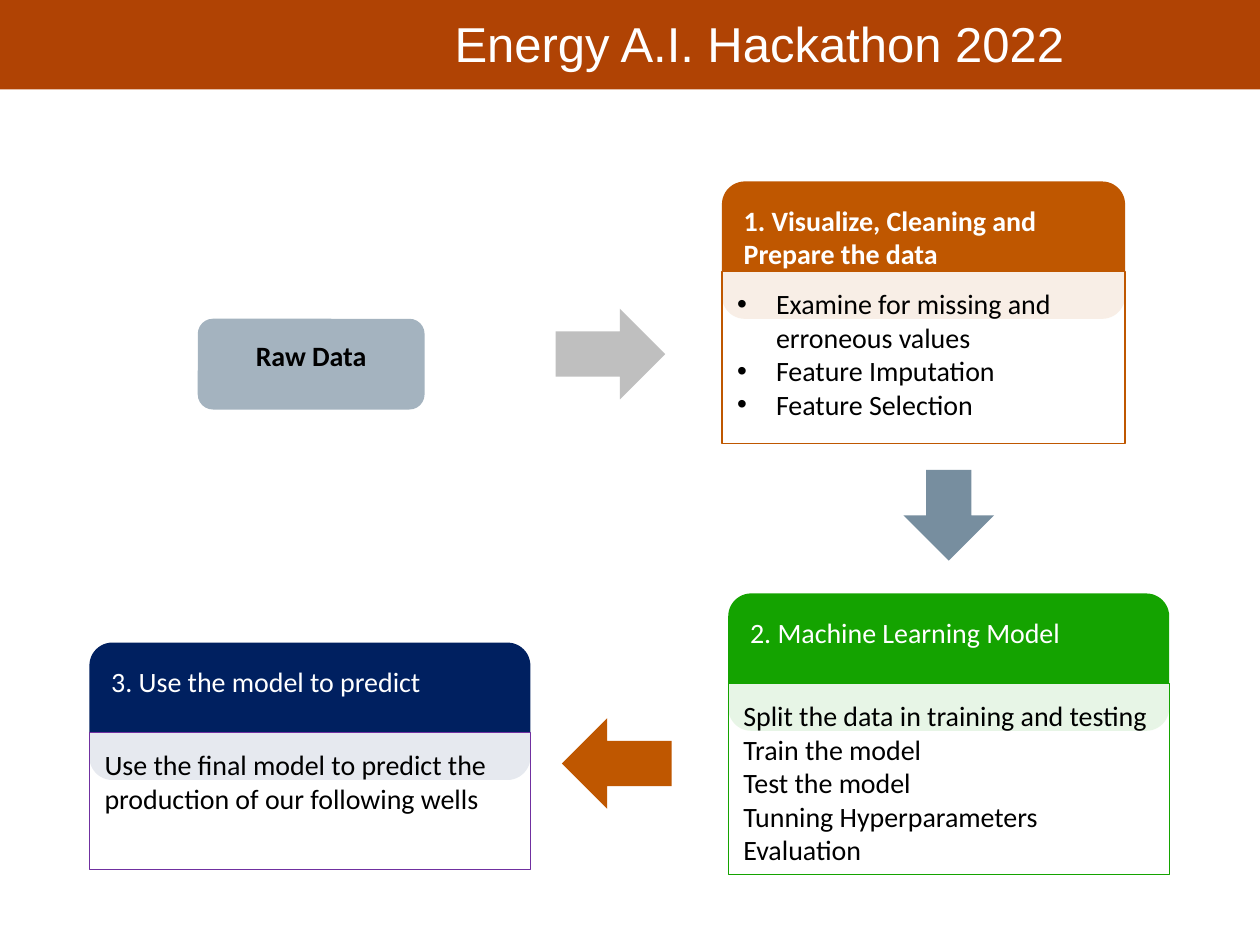
from lxml import etree
from pptx import Presentation
from pptx.dml.color import RGBColor
from pptx.enum.shapes import MSO_SHAPE as Shape
from pptx.enum.text import MSO_ANCHOR as Anchor, PP_ALIGN as Align
from pptx.oxml.ns import qn
from pptx.util import Inches, Pt

COLUMNS, ROWS = 100, 75  # grid cells across and down the slide
WIDTH, HEIGHT = Inches(10), Inches(7.5)
HEADER_ROWS = 10.9       # height of a card's rounded header
BODY_OFFSET = 7.15       # rows from a card's top to its body
PADDING = 0.12           # inches
ORANGE, GREEN, NAVY, PURPLE = "BF5700", "14A300", "002060", "7030A0"
WHITE, BLACK = "FFFFFF", "000000"


def color(hex_code):
    return RGBColor.from_string(hex_code)


def grid(box):
    """Turn left, top, width, height in grid cells into slide lengths."""
    left, top, width, height = box
    return (int(left * WIDTH / COLUMNS), int(top * HEIGHT / ROWS),
            int(width * WIDTH / COLUMNS), int(height * HEIGHT / ROWS))


def add_box(slide, kind, box, fill, line=None, opacity=None):
    shape = slide.shapes.add_shape(kind, *grid(box))
    shape.shadow.inherit = False
    shape.fill.solid()
    shape.fill.fore_color.rgb = color(fill)
    if opacity is not None:
        solid = shape._element.spPr.find(qn("a:solidFill"))
        etree.SubElement(solid[0], qn("a:alpha"), val=str(opacity * 1000))
    if line:
        shape.line.color.rgb = color(line)
        shape.line.width = Pt(0.75)
    else:
        shape.line.fill.background()
    return shape


def add_bullet(paragraph, indent=0.31):
    properties = paragraph._p.get_or_add_pPr()
    properties.set("marL", str(Inches(indent)))
    properties.set("indent", str(-Inches(indent)))
    etree.SubElement(properties, qn("a:buFont"), typeface="Arial")
    etree.SubElement(properties, qn("a:buChar"), char="•")


def write(shape, lines, font="Calibri", size=16, ink=BLACK, bold=False,
          align=Align.LEFT, bullets=False, wrap=True, padding=None):
    frame = shape.text_frame
    frame.word_wrap = wrap
    frame.vertical_anchor = Anchor.TOP
    if padding:
        (frame.margin_left, frame.margin_top,
         frame.margin_right, frame.margin_bottom) = map(Inches, padding)
    frame.text = "\n".join(lines)
    for paragraph in frame.paragraphs:
        paragraph.alignment = align
        if bullets:
            add_bullet(paragraph)
        for run in paragraph.runs:
            run.font.name, run.font.size = font, Pt(size)
            run.font.bold = bold
            run.font.color.rgb = color(ink)


def add_banner(slide, box, title):
    left, top, width, height = box
    add_box(slide, Shape.RECTANGLE, box, "B04304")
    title_box = (left + 0.351 * width, top + 0.7, 0.51 * width, 0.79 * height)
    text_box = slide.shapes.add_textbox(*grid(title_box))
    write(text_box, [title], font="Arial", size=28, ink=WHITE, wrap=False)


def add_label(slide, box, text, fill, **text_format):
    """Rounded box with a short text."""
    label = add_box(slide, Shape.ROUNDED_RECTANGLE, box, fill)
    write(label, [text], padding=(PADDING, PADDING, PADDING, 0.07),
          **text_format)


def add_card(slide, box, header, lines, fill, line, bold=False, bullets=False):
    """Rounded header, partly covered by an outlined, translucent body."""
    left, top, width, height = box
    add_label(slide, (left, top, width, HEADER_ROWS), header, fill,
              ink=WHITE, bold=bold)
    body_box = (left, top + BODY_OFFSET, width, height - BODY_OFFSET)
    body = add_box(slide, Shape.RECTANGLE, body_box, WHITE, line, opacity=90)
    write(body, lines, bullets=bullets, padding=[PADDING] * 4)


def add_workflow(slide):
    # Starting point
    add_label(slide, (15.7, 25.3, 18, 7.2), "Raw Data", "A4B3BF",
              bold=True, align=Align.CENTER)

    # Numbered steps
    add_card(slide, (57.3, 14.4, 32, 20.8),
             "1. Visualize, Cleaning and Prepare the data",
             ["Examine for missing and erroneous values",
              "Feature Imputation", "Feature Selection"],
             ORANGE, ORANGE, bold=True, bullets=True)
    add_card(slide, (57.8, 47.1, 35, 22.3), "2. Machine Learning Model",
             ["Split the data in training and testing", "Train the model",
              "Test the model", "Tunning Hyperparameters", "Evaluation"],
             GREEN, GREEN)
    add_card(slide, (7.1, 51, 35, 18), "3. Use the model to predict",
             ["Use the final model to predict the production of our "
              "following wells"],
             NAVY, PURPLE)

    # Arrows between the steps
    for kind, box, fill in (
            (Shape.RIGHT_ARROW, (44.1, 24.5, 8.7, 7.2), "BFBFBF"),
            (Shape.DOWN_ARROW, (71.7, 37.3, 7.2, 7.2), "778E9F"),
            (Shape.LEFT_ARROW, (44.6, 57, 8.7, 7.2), ORANGE)):
        add_box(slide, kind, box, fill)


def main():
    presentation = Presentation()
    presentation.slide_width, presentation.slide_height = WIDTH, HEIGHT
    slide = presentation.slides.add_slide(presentation.slide_layouts[6])
    add_banner(slide, (0, -0.1, COLUMNS, 7.2), "Energy A.I. Hackathon 2022")
    add_workflow(slide)
    presentation.save("out.pptx")


if __name__ == "__main__":
    main()
